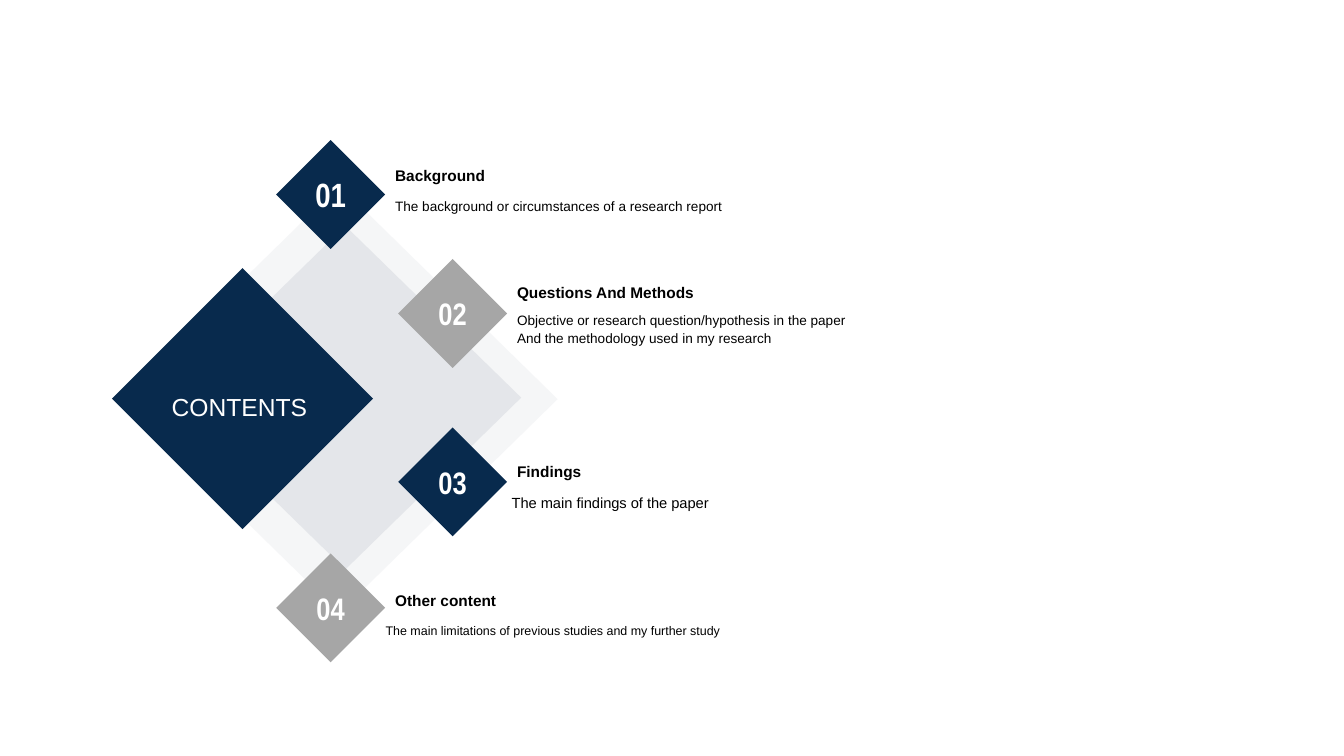
from dataclasses import dataclass

from lxml.etree import SubElement
from pptx import Presentation
from pptx.dml.color import RGBColor
from pptx.enum.shapes import MSO_SHAPE
from pptx.enum.text import MSO_ANCHOR, PP_ALIGN
from pptx.oxml.ns import qn
from pptx.util import Pt

NAVY = RGBColor(0x08, 0x2A, 0x4D)
GRAY = RGBColor(0xA6, 0xA6, 0xA6)
PALE = RGBColor(0xE4, 0xE6, 0xEA)
WHITE = RGBColor(0xFF, 0xFF, 0xFF)
BLACK = RGBColor(0x00, 0x00, 0x00)

BADGE = 77.8
HEADING_HEIGHT = 23


@dataclass
class Entry:
    number: str
    number_size: float
    color: RGBColor
    left: float
    top: float
    heading: str
    heading_drop: float
    lines: list
    body_size: float
    body_shift: float
    body_drop: float
    body_width: float
    body_height: float
    spacing: float
    align: PP_ALIGN


ENTRIES = [
    Entry("01", 24, NAVY, 197.3, 100, "Background", 12.3,
          ["The background or circumstances of a research report"],
          9.7, 0, 23, 267, 21.6, 1.2, PP_ALIGN.LEFT),
    Entry("02", 22.2, GRAY, 284.4, 185, "Questions And Methods", 10.8,
          ["Objective or research question/hypothesis in the paper",
           "And the methodology used in my research"],
          9.7, 0, 21.5, 256, 34.6, 1.1, PP_ALIGN.LEFT),
    Entry("03", 22.2, NAVY, 284.4, 305.3, "Findings", 18.7,
          ["The main findings of the paper"],
          10.5, -6.5, 23, 160.6, 21.6, 1.2, PP_ALIGN.CENTER),
    Entry("04", 22.2, GRAY, 197.3, 395.3, "Other content", 20.9,
          ["The main limitations of previous studies and my further study"],
          8.9, -13.7, 23, 267, 21.6, 1.1, PP_ALIGN.CENTER),
]


def write(shape, lines, font, align=PP_ALIGN.LEFT, anchor=MSO_ANCHOR.MIDDLE, spacing=None):
    frame = shape.text_frame
    frame.vertical_anchor = anchor
    for index, line in enumerate(lines):
        paragraph = frame.add_paragraph() if index else frame.paragraphs[0]
        paragraph.alignment = align
        paragraph.line_spacing = spacing
        run = paragraph.add_run()
        run.text = line
        values = dict(font)
        run.font.color.rgb = values.pop("color")
        for name, value in values.items():
            setattr(run.font, name, value)


def add_diamond(slide, box, color, opacity=None):
    shape = slide.shapes.add_shape(MSO_SHAPE.DIAMOND, *map(Pt, box))
    shape.shadow.inherit = False
    shape.fill.solid()
    shape.fill.fore_color.rgb = color
    shape.line.fill.background()
    if opacity is not None:
        rgb = shape.fill._xPr.find(".//" + qn("a:srgbClr"))
        SubElement(rgb, qn("a:alpha"), val=str(opacity * 1000))
    return shape


def add_text(slide, box, lines, font, **layout):
    shape = slide.shapes.add_textbox(*map(Pt, box))
    shape.text_frame.word_wrap = True
    write(shape, lines, font, **layout)


def add_title_diamonds(slide, left, top):
    add_diamond(slide, (left + 6.5, top, 311.8, 305.3), PALE, 35)
    add_diamond(slide, (left + 41, top + 28.8, 251.3, 245.5), PALE)
    add_diamond(slide, (left, top + 59, 186.5, 186.5), NAVY)
    font = {"name": "Arial", "size": Pt(17.6), "color": WHITE}
    add_text(slide, (left + 30.2, top + 143.3, 121.7, 29.5), ["CONTENTS"], font,
             align=PP_ALIGN.CENTER)


def add_entry(slide, entry):
    badge = add_diamond(slide, (entry.left, entry.top, BADGE, BADGE), entry.color)
    badge.text_frame.word_wrap = False
    write(badge, [entry.number],
          {"name": "Arial Narrow", "size": Pt(entry.number_size), "bold": True, "color": WHITE},
          align=PP_ALIGN.CENTER)

    text_left = entry.left + BADGE
    heading_top = entry.top + entry.heading_drop
    add_text(slide, (text_left, heading_top, 267, HEADING_HEIGHT), [entry.heading],
             {"name": "Arial", "size": Pt(11), "bold": True, "color": BLACK},
             anchor=MSO_ANCHOR.BOTTOM)
    body_box = (text_left + entry.body_shift, heading_top + entry.body_drop,
                entry.body_width, entry.body_height)
    add_text(slide, body_box, entry.lines,
             {"name": "Arial", "size": Pt(entry.body_size), "color": BLACK},
             align=entry.align, spacing=entry.spacing)


def main():
    presentation = Presentation()
    presentation.slide_width = Pt(960)
    presentation.slide_height = Pt(540)
    slide = presentation.slides.add_slide(presentation.slide_layouts[6])
    add_title_diamonds(slide, 80, 132.5)
    for entry in ENTRIES:
        add_entry(slide, entry)
    presentation.save("out.pptx")


if __name__ == "__main__":
    main()
